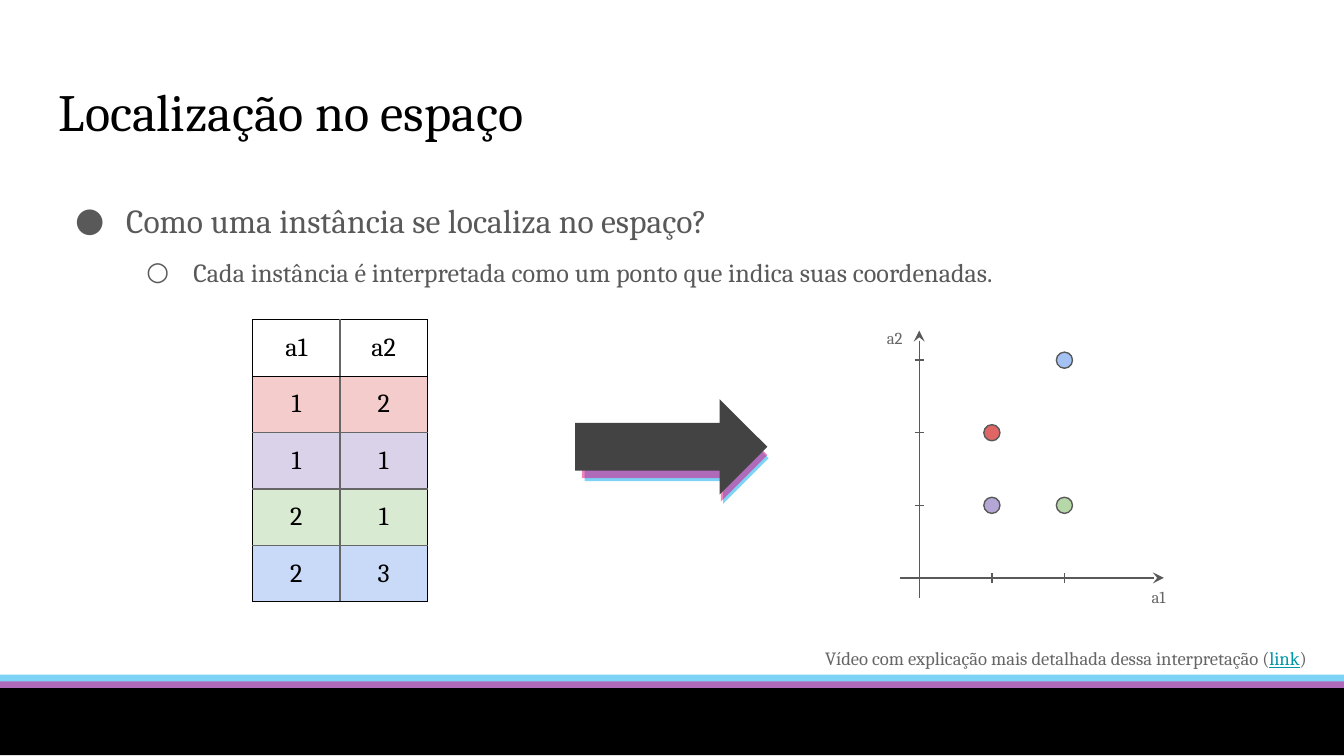
import pptx
import pptx.dml.color
import pptx.enum.shapes
import pptx.enum.text
import pptx.oxml
import pptx.oxml.ns
import pptx.util

Inches = pptx.util.Inches
Pt = pptx.util.Pt
SHAPE = pptx.enum.shapes.MSO_SHAPE
ALIGN = pptx.enum.text.PP_ALIGN

THEME = {
    "font": "Cambria", "title": 28, "lead": 18, "detail": 14, "cell": 14,
    "note": 10, "label": 9, "line": 0.75,
    "black": "000000", "white": "FFFFFF", "body": "595959", "muted": "666666",
    "link": "0097A7", "arrow": "434343", "cyan": "00A9EC", "pink": "E3007B",
}

TITLE = "Localização no espaço"
BULLETS = [
    ("Como uma instância se localiza no espaço?", "lead", "●", 0.5, 0.38),
    ("Cada instância é interpretada como um ponto que indica suas coordenadas.",
     "detail", "○", 1, 0.35),
]
NOTE = [("Vídeo com explicação mais detalhada dessa interpretação (", "muted", False),
        ("link", "link", True), (")", "muted", False)]
HEADERS = ("a1", "a2")
INSTANCES = [
    ((1, 2), "F4CCCC", "E06666"),
    ((1, 1), "D9D2E9", "B4A7D6"),
    ((2, 1), "D9EAD3", "B6D7A8"),
    ((2, 3), "C9DAF8", "A4C2F4"),
]
BANDS = [((0, 5.02, 10, 0.5), "cyan", 51), ((0, 5.07, 10, 0.5), "pink", 49),
         ((0, 5.12, 10, 0.5), "black", 100)]
ARROWS = [((4.35, 3.07, 1.37, 0.68), "cyan", 51), ((4.33, 3.04, 1.38, 0.69), "pink", 49),
          ((4.28, 2.97, 1.43, 0.71), "arrow", 100)]
AXIS_LABELS = [("a2", (6.5, 2.36, 0.45, 0.4)), ("a1", (8.47, 4.29, 0.45, 0.22))]

ORIGIN_X, ORIGIN_Y, UNIT = 6.84, 4.3, 0.54
TICK, DOT = 0.035, 0.12
COLUMN, ROW = 0.65, 0.42


def rgb(name):
    return pptx.dml.color.RGBColor.from_string(THEME.get(name, name))


def xml(text):
    namespace = pptx.oxml.ns.nsdecls("a")
    return pptx.oxml.parse_xml(text.replace("xmlns", namespace, 1))


def write(para, text, size, color, underline=False, align=None):
    span = para.add_run()
    span.text = text
    span.font.name = THEME["font"]
    span.font.size = Pt(THEME[size])
    span.font.color.rgb = rgb(color)
    if underline:
        span.font.underline = True
    if align is not None:
        para.alignment = align


def add_box(page, place):
    frame = page.shapes.add_textbox(*map(Inches, place)).text_frame
    frame.word_wrap = True
    frame.margin_left = frame.margin_right = Inches(0.1)
    frame.margin_top = frame.margin_bottom = Inches(0.1)
    return frame


def add_shape(page, kind, place, color, opacity=100, outline=None):
    shape = page.shapes.add_shape(kind, *map(Inches, place))
    shape.shadow.inherit = False
    shape.fill.solid()
    shape.fill.fore_color.rgb = rgb(color)
    if opacity < 100:
        fill_color = shape._element.spPr.find(".//" + pptx.oxml.ns.qn("a:srgbClr"))
        fill_color.append(xml(f'<a:alpha xmlns val="{opacity * 1000}"/>'))
    if outline:
        shape.line.color.rgb = rgb(outline)
        shape.line.width = Pt(THEME["line"])
    else:
        shape.line.fill.background()


def add_line(page, start, end, arrow=False):
    line = page.shapes.add_connector(
        pptx.enum.shapes.MSO_CONNECTOR.STRAIGHT, *map(Inches, start + end))
    line.line.color.rgb = rgb("body")
    line.line.width = Pt(THEME["line"])
    if arrow:
        line.line._get_or_add_ln().append(xml('<a:tailEnd xmlns type="stealth"/>'))
    line._element.spPr.append(xml("<a:effectLst xmlns/>"))


def add_bullets(page):
    frame = add_box(page, (0.34, 1.24, 9.32, 0.94))
    for level, (text, size, mark, indent, hanging) in enumerate(BULLETS):
        para = frame.add_paragraph() if level else frame.paragraphs[0]
        para.level = level
        para.line_spacing = 1.5
        write(para, text, size, "body")
        properties = para._p.get_or_add_pPr()
        properties.set("marL", str(Inches(indent)))
        properties.set("indent", str(-Inches(hanging)))
        properties.append(xml(
            f'<a:buClr xmlns><a:srgbClr val="{THEME["body"]}"/></a:buClr>'))
        properties.append(xml(f'<a:buFont xmlns typeface="{THEME["font"]}"/>'))
        properties.append(xml(f'<a:buChar xmlns char="{mark}"/>'))


def set_borders(cell, colors):
    properties = cell._tc.get_or_add_tcPr()
    for index, (side, color) in enumerate(zip("LRTB", colors)):
        properties.insert(index, xml(
            f'<a:ln{side} xmlns w="{Pt(THEME["line"])}"><a:solidFill>'
            f'<a:srgbClr val="{THEME[color]}"/></a:solidFill></a:ln{side}>'))


def add_instances(page):
    rows = [(HEADERS, "white")] + [(values, fill) for values, fill, dot in INSTANCES]
    last_row, last_column = len(rows) - 1, len(HEADERS) - 1
    table = page.shapes.add_table(
        len(rows), len(HEADERS), Inches(1.88), Inches(2.38),
        Inches(COLUMN * len(HEADERS)), Inches(ROW * len(rows))).table
    table.first_row = table.horz_banding = False
    for column in table.columns:
        column.width = Inches(COLUMN)
    for r, (values, fill) in enumerate(rows):
        table.rows[r].height = Inches(ROW)
        for c, value in enumerate(values):
            cell = table.cell(r, c)
            cell.margin_left = cell.margin_right = Inches(0.1)
            cell.margin_top = cell.margin_bottom = Inches(0.08)
            cell.vertical_anchor = pptx.enum.text.MSO_ANCHOR.MIDDLE
            cell.fill.solid()
            cell.fill.fore_color.rgb = rgb(fill)
            write(cell.text_frame.paragraphs[0], str(value), "cell", "black",
                  align=ALIGN.CENTER)
            strong = (c == 0, c == last_column, r <= 1, r in (0, last_row))
            set_borders(cell, ["black" if edge else "muted" for edge in strong])


def add_plot(page):
    add_line(page, (ORIGIN_X, 4.45), (ORIGIN_X, 2.46), arrow=True)
    add_line(page, (6.7, ORIGIN_Y), (8.66, ORIGIN_Y), arrow=True)
    points = [values for values, fill, dot in INSTANCES]
    for step in range(1, max(x for x, y in points) + 1):
        x = ORIGIN_X + step * UNIT
        add_line(page, (x, ORIGIN_Y - TICK), (x, ORIGIN_Y + TICK))
    for step in range(1, max(y for x, y in points) + 1):
        y = ORIGIN_Y - step * UNIT
        add_line(page, (ORIGIN_X - TICK, y), (ORIGIN_X + TICK, y))
    for (x, y), fill, dot in INSTANCES:
        place = (ORIGIN_X + x * UNIT - DOT / 2, ORIGIN_Y - y * UNIT - DOT / 2, DOT, DOT)
        add_shape(page, SHAPE.OVAL, place, dot, outline="body")
    for text, place in AXIS_LABELS:
        write(add_box(page, place).paragraphs[0], text, "label", "muted")


def main():
    deck = pptx.Presentation()
    deck.slide_width = Inches(10)
    deck.slide_height = deck.slide_width * 9 // 16
    page = deck.slides.add_slide(deck.slide_layouts[6])
    for place, color, opacity in BANDS:
        add_shape(page, SHAPE.RECTANGLE, place, color, opacity)
    title = add_box(page, (0.34, 0.49, 9.32, 0.63))
    write(title.paragraphs[0], TITLE, "title", "black")
    add_bullets(page)
    add_instances(page)
    add_plot(page)
    for place, color, opacity in ARROWS:
        add_shape(page, SHAPE.RIGHT_ARROW, place, color, opacity)
    note = add_box(page, (6.04, 4.73, 4.09, 0.26))
    for text, color, underline in NOTE:
        write(note.paragraphs[0], text, "note", color, underline=underline)
    deck.save("out.pptx")


if __name__ == "__main__":
    main()
